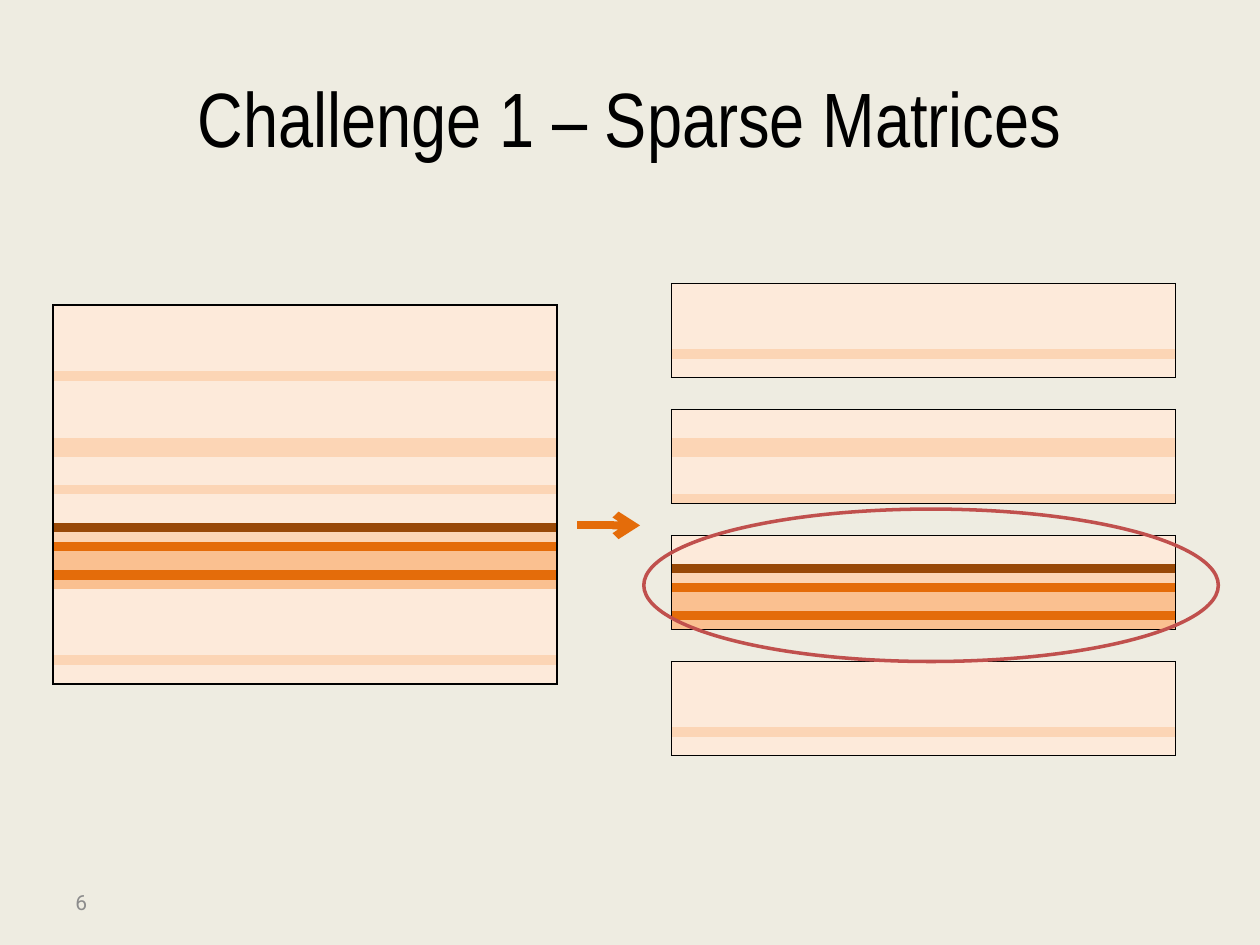
"""Build the slide on splitting a sparse matrix into row blocks."""
from dataclasses import dataclass

from lxml.etree import SubElement
from pptx import Presentation
from pptx.dml.color import RGBColor
from pptx.enum.shapes import MSO_CONNECTOR, MSO_SHAPE
from pptx.enum.text import MSO_ANCHOR, PP_ALIGN
from pptx.oxml.ns import qn
from pptx.util import Emu, Pt

SCALE = 9144
PLAIN_TABLE = "{2D5ABB26-0587-4C30-8999-92F81FD0307C}"
MATRIX = "LLLLLLLSLL" "LLLLSSLLLS" "LLLDSOMMOM" "LLLLLLLSLL"
BLOCKS = ("LLLLLLLSLL", "LLLSSLLLLS", "LLLDSOMMOM", "LLLLLLLSLL")
DENSITY = {"L": "FDEADA", "S": "FCD5B5", "M": "FAC090", "O": "E46C0A", "D": "984807"}


@dataclass(frozen=True)
class Theme:
    background: str = "EEECE1"
    ink: str = "000000"
    muted: str = "8C8C8C"
    arrow: str = "E46C0A"
    highlight: str = "C0504D"
    title_font: str = "Arial Narrow"
    number_font: str = "Roboto"
    title_size: int = 44
    number_size: int = 12


THEME = Theme()


def px(n):
    return Emu(n * SCALE)


def box(x, y, w, h):
    return px(x), px(y), px(w), px(h)


def rgb(color):
    return RGBColor.from_string(color)


def set_text(sp, text, font, size, color, align):
    tf = sp.text_frame
    tf.word_wrap = True
    tf.vertical_anchor = MSO_ANCHOR.MIDDLE
    p = tf.paragraphs[0]
    p.text = text
    p.alignment = align
    p.font.name, p.font.size = font, Pt(size)
    p.font.color.rgb = rgb(color)


def add_title(s, text):
    sp = s.shapes.title
    sp.left, sp.top, sp.width, sp.height = box(50, 30, 900, 125)
    set_text(sp, text, THEME.title_font, THEME.title_size, THEME.ink, PP_ALIGN.CENTER)


def add_border(cell, side):
    ln = SubElement(cell._tc.get_or_add_tcPr(), qn(f"a:ln{side}"), w=str(Pt(1)))
    SubElement(SubElement(ln, qn("a:solidFill")), qn("a:srgbClr"), val=THEME.ink)


def format_cell(cell, color, sides):
    for side in sides:
        add_border(cell, side)
    cell.fill.solid()
    cell.fill.fore_color.rgb = rgb(color)
    cell.margin_left = cell.margin_right = cell.margin_top = cell.margin_bottom = 0
    p = cell.text_frame.paragraphs[0]
    SubElement(p._p, qn("a:endParaRPr"), sz=str(100))


def add_matrix(s, x, y, w, h, rows):
    frame = s.shapes.add_table(len(rows), 1, *box(x, y, w, h))
    table = frame.table
    table.first_row = table.horz_banding = False
    table._tbl.tblPr.find(qn("a:tableStyleId")).text = PLAIN_TABLE
    for i, code in enumerate(rows):
        top = "T" if i == 0 else ""
        bottom = "B" if i == len(rows) - 1 else ""
        format_cell(table.cell(i, 0), DENSITY[code], "LR" + top + bottom)


def add_arrow(s, x1, y1, x2, y2):
    line = s.shapes.add_connector(MSO_CONNECTOR.STRAIGHT, *box(x1, y1, x2, y2))
    line.line.color.rgb = rgb(THEME.arrow)
    line.line.width = Pt(4.5)
    SubElement(line.line._get_or_add_ln(), qn("a:tailEnd"), type="arrow")
    SubElement(line._element.spPr, qn("a:effectLst"))


def add_highlight(s, x, y, w, h):
    sp = s.shapes.add_shape(MSO_SHAPE.OVAL, *box(x, y, w, h))
    sp.shadow.inherit = False
    sp.fill.background()
    sp.line.color.rgb = rgb(THEME.highlight)
    sp.line.width = Pt(2)


def add_number(s, text):
    sp = s.shapes.add_textbox(*box(50, 696, 233, 40))
    set_text(sp, text, THEME.number_font, THEME.number_size, THEME.muted, PP_ALIGN.LEFT)


def main():
    prs = Presentation()
    prs.slide_width, prs.slide_height = px(1000), px(750)
    s = prs.slides.add_slide(prs.slide_layouts[5])
    s.background.fill.solid()
    s.background.fill.fore_color.rgb = rgb(THEME.background)

    add_title(s, "Challenge 1 – Sparse Matrices")
    add_matrix(s, 42, 242, 400, 301, MATRIX)
    for i, rows in enumerate(BLOCKS):
        add_matrix(s, 533, 225 + 100 * i, 400, 75, rows)
    add_arrow(s, 458, 417, 508, 417)
    add_highlight(s, 511, 404, 456, 121)
    add_number(s, "6")
    prs.save("out.pptx")


if __name__ == "__main__":
    main()
